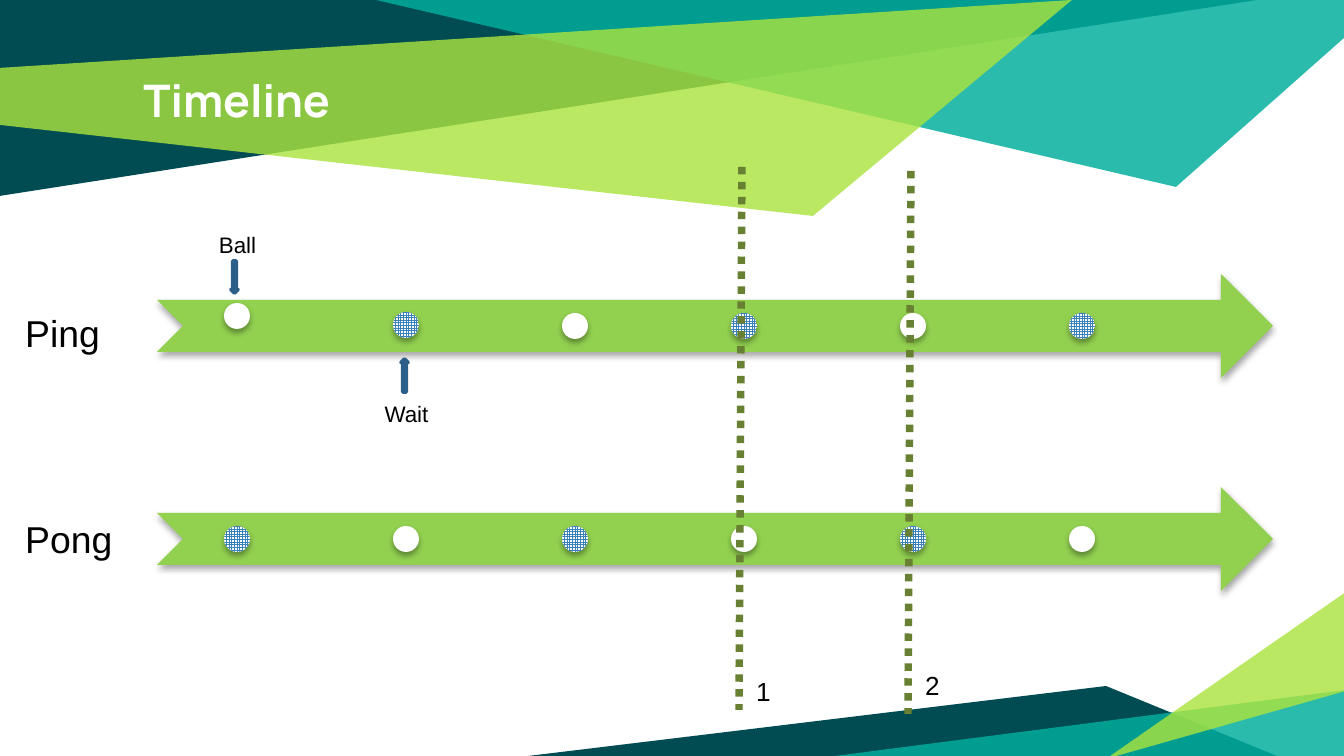
from lxml import etree
from pptx import Presentation, util as u
from pptx.dml.color import RGBColor
from pptx.enum import dml, shapes, text
from pptx.oxml.ns import qn

PX = 914400 / 134.4
COLORS = {
    "navy": "004C52", "teal": "00AE9D", "lime": "ABE33F", "lane": "92D050",
    "wait": "3A81BA", "pointer": "2B5F8A", "marker": "688031",
    "white": "FFFFFF", "black": "000000",
}


def px(*lengths):
    """Turn pixels into EMU."""
    return [u.Emu(round(length * PX)) for length in lengths]


class TimelineSlide:
    """Holds the style and the current slide."""

    def __init__(self, slide, font="Arial", heading_font="Manrope"):
        self.slide, self.font, self.heading_font = slide, font, heading_font

    def color(self, target, name):
        target.rgb = RGBColor.from_string(COLORS[name])

    def alpha(self, parent, percent):
        etree.SubElement(parent, qn("a:alpha"), val=str(percent * 1000))

    def paint(self, shape, fill):
        shape.fill.solid()
        self.color(shape.fill.fore_color, fill)
        shape.line.fill.background()
        shape.shadow.inherit = False

    def facet(self, points, fill, opacity=100):
        builder = self.slide.shapes.build_freeform(*points[0], scale=PX)
        builder.add_line_segments(points[1:], close=True)
        facet = builder.convert_to_shape()
        self.paint(facet, fill)
        if opacity < 100:
            self.alpha(next(facet.element.spPr.iter(qn("a:srgbClr"))), opacity)

    def preset(self, kind, box, fill):
        shape = self.slide.shapes.add_shape(kind, *px(*box))
        self.paint(shape, fill)
        return shape

    def cast_shadow(self, shape):
        effects = shape.element.spPr.find(qn("a:effectLst"))
        shadow = etree.SubElement(
            effects, qn("a:outerShdw"), blurRad=str(u.Pt(3.1)),
            dist=str(u.Pt(1.8)), dir="5400000", rotWithShape="0")
        tint = etree.SubElement(shadow, qn("a:srgbClr"), val=COLORS["black"])
        self.alpha(tint, 35)

    def lane(self, top):
        self.cast_shadow(self.preset(
            shapes.MSO_SHAPE.NOTCHED_RIGHT_ARROW, (157, top, 1116, 104), "lane"))

    def turn(self, left, top, waiting):
        dot = self.preset(shapes.MSO_SHAPE.OVAL, (left, top, 26, 26), "white")
        if waiting:
            dot.fill.patterned()
            dot.fill.pattern = dml.MSO_PATTERN.SMALL_GRID
            self.color(dot.fill.fore_color, "wait")
            self.color(dot.fill.back_color, "white")
        self.cast_shadow(dot)

    def pointer(self, box, rotation=0):
        pointer = self.preset(shapes.MSO_SHAPE.DOWN_ARROW, box, "lane")
        self.color(pointer.line.color, "pointer")
        pointer.line.width = u.Pt(2)
        pointer.rotation = rotation

    def marker(self, start, end):
        marker = self.slide.shapes.add_connector(
            shapes.MSO_CONNECTOR.STRAIGHT, *px(*start, *end))
        self.color(marker.line.color, "marker")
        marker.line.width = u.Pt(4)
        marker.line.dash_style = dml.MSO_LINE.ROUND_DOT
        etree.SubElement(marker.element.spPr, qn("a:effectLst"))

    def set_words(self, frame, words, size, font, color="black"):
        frame.text = words
        frame.word_wrap = True
        line = frame.paragraphs[0]
        line.font.size, line.font.name = u.Pt(size), font
        self.color(line.font.color, color)
        return line

    def inset(self, frame, margin):
        frame.margin_left = frame.margin_right = margin
        frame.margin_top = frame.margin_bottom = margin

    def label(self, words, box, size):
        frame = self.slide.shapes.add_textbox(*px(*box)).text_frame
        self.set_words(frame, words, size, self.font)

    def caption(self, words, box, anchor):
        frame = self.slide.shapes.add_textbox(*px(*box)).text_frame
        self.inset(frame, u.Inches(0.09))
        frame.vertical_anchor = anchor
        line = self.set_words(frame, words, 12, self.font)
        line.alignment = text.PP_ALIGN.CENTER
        line.line_spacing = 0.9

    def title(self, words, box):
        title = self.slide.shapes.title
        title.left, title.top, title.width, title.height = px(*box)
        frame = title.text_frame
        self.inset(frame, u.Inches(0.1))
        frame.vertical_anchor = text.MSO_ANCHOR.TOP
        frame.auto_size = text.MSO_AUTO_SIZE.NONE
        line = self.set_words(frame, words, 24, self.heading_font, "white")
        line.alignment = text.PP_ALIGN.LEFT
        line.font.bold = True
        title.element.getparent().append(title.element)


deck = Presentation()
deck.slide_width, deck.slide_height = px(1344, 756)
timeline = TimelineSlide(deck.slides.add_slide(deck.slide_layouts[5]))

for points, fill, opacity in (
    ([(0, 0), (0, 196), (1257, 0)], "navy", 100),
    ([(376, 0), (1176, 187), (1344, 38), (1344, 0)], "teal", 83),
    ([(-1, 68), (0, 125), (813, 216), (1072, 0)], "lime", 81),
    ([(528, 756), (1277, 756), (1106, 686)], "navy", 100),
    ([(1346, 690), (1346, 759), (812, 759)], "teal", 83),
    ([(1346, 691), (1346, 592), (1106, 759)], "lime", 81),
):
    timeline.facet(points, fill, opacity)
timeline.title("Timeline", (130, 59, 1083, 126))

for player, lane_top, label_top, turn_tops, first_waiter in (
    ("Ping", 274, 304, (303, 312, 313, 313, 313, 313), 1),
    ("Pong", 487, 510, (526,) * 6, 0),
):
    timeline.lane(lane_top)
    for step, turn_top in enumerate(turn_tops):
        timeline.turn(224 + 169 * step, turn_top, step % 2 == first_waiter)
    timeline.label(player, (12, label_top, 118, 59), 20)

timeline.caption("Ball", (157, 206, 161, 64), text.MSO_ANCHOR.BOTTOM)
timeline.caption("Wait", (326, 391, 161, 52), text.MSO_ANCHOR.TOP)
timeline.pointer((231, 261, 7, 32))
timeline.pointer((401, 359, 7, 33), rotation=180)

for number, start, end, label_box in (
    ("1", (742, 167), (739, 710), (743, 669, 51, 46)),
    ("2", (911, 171), (908, 714), (912, 663, 51, 76)),
):
    timeline.marker(start, end)
    timeline.label(number, label_box, 14)

deck.save("out.pptx")
